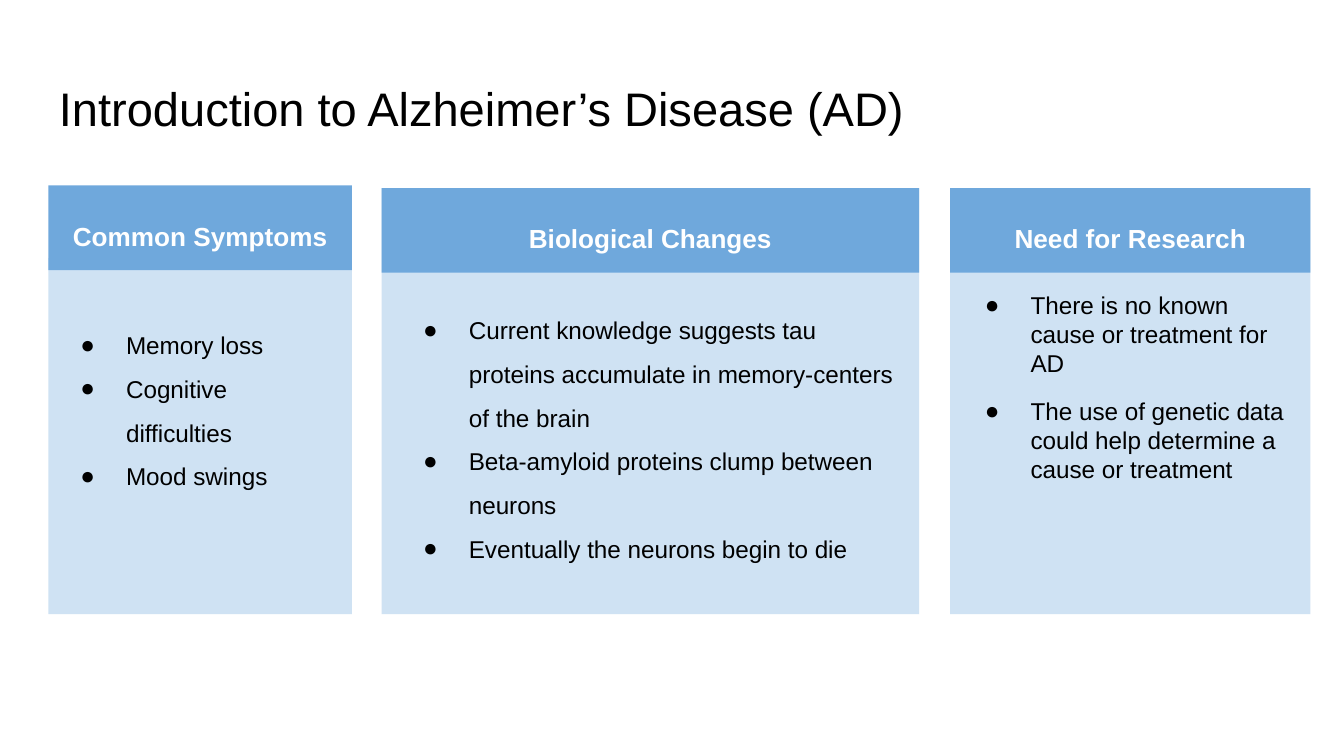
from dataclasses import dataclass

from lxml import etree
from pptx import Presentation
from pptx.dml.color import RGBColor
from pptx.enum.shapes import MSO_SHAPE
from pptx.enum.text import MSO_ANCHOR, PP_ALIGN
from pptx.oxml.ns import qn
from pptx.util import Inches, Pt

RECT = MSO_SHAPE.RECTANGLE
TOP, MIDDLE = MSO_ANCHOR.TOP, MSO_ANCHOR.MIDDLE
LEFT, CENTER, JUSTIFY = PP_ALIGN.LEFT, PP_ALIGN.CENTER, PP_ALIGN.JUSTIFY


@dataclass(frozen=True)
class Theme:
    font: str = "Arial"
    text: str = "000000"
    heading_text: str = "FFFFFF"
    heading_fill: str = "6FA8DC"
    panel_fill: str = "CFE2F3"
    title_size: float = 25.2
    heading_size: float = 14
    body_size: float = 13


@dataclass(frozen=True)
class Column:
    heading: str
    left: float
    top: float
    width: float
    panel: tuple
    list_box: tuple
    items: tuple
    align: PP_ALIGN = LEFT
    line_spacing: float = 1.5
    gap: float = 0


THEME = Theme()
HEADING_HEIGHT = 0.63
COLUMNS = (
    Column("Common Symptoms", 0.36, 1.38, 2.26, (1.92, 2.65),
           (0.34, 2.25, 2.13, 1.41),
           ("Memory loss", "Cognitive difficulties", "Mood swings"),
           align=JUSTIFY),
    Column("Biological Changes", 2.84, 1.4, 4, (1.4, 3.17),
           (2.89, 2.14, 3.91, 2.37),
           ("Current knowledge suggests tau proteins accumulate in "
            "memory-centers of the brain",
            "Beta-amyloid proteins clump between neurons",
            "Eventually the neurons begin to die")),
    Column("Need for Research", 7.07, 1.4, 2.68, (1.4, 3.17),
           (7.07, 2.06, 2.68, 2.27),
           ("There is no known cause or treatment for AD",
            "The use of genetic data could help determine a cause or treatment"),
           line_spacing=1, gap=10),
)


def inches(box):
    return [Inches(v) for v in box]


def prepare_frame(sp, anchor):
    tf = sp.text_frame
    tf.word_wrap = True
    tf.vertical_anchor = anchor
    tf.margin_left = tf.margin_right = Inches(0.1)
    tf.margin_top = tf.margin_bottom = Inches(0.1)
    return tf


def style_runs(p, size, color, bold=False):
    for r in p.runs:
        r.font.name = THEME.font
        r.font.size = Pt(size)
        r.font.bold = bold
        r.font.color.rgb = RGBColor.from_string(color)


def add_bullet(p):
    pPr = p._p.get_or_add_pPr()
    pPr.set("marL", str(Inches(0.5)))
    pPr.set("indent", str(Inches(-0.34)))
    color = etree.SubElement(pPr, qn("a:buClr"))
    etree.SubElement(color, qn("a:srgbClr"), val=THEME.text)
    etree.SubElement(pPr, qn("a:buSzPts"), val=str(THEME.body_size * 100))
    etree.SubElement(pPr, qn("a:buFont"), typeface=THEME.font)
    etree.SubElement(pPr, qn("a:buChar"), char="●")


def add_rect(s, box, fill):
    sp = s.shapes.add_shape(RECT, *inches(box))
    sp.shadow.inherit = False
    sp.fill.solid()
    sp.fill.fore_color.rgb = RGBColor.from_string(fill)
    sp.line.fill.background()
    return sp


def add_title(s, text, box):
    tf = prepare_frame(s.shapes.add_textbox(*inches(box)), MIDDLE)
    tf.text = text
    style_runs(tf.paragraphs[0], THEME.title_size, THEME.text)


def add_heading(s, text, box):
    tf = prepare_frame(add_rect(s, box, THEME.heading_fill), MIDDLE)
    tf.text = text
    p = tf.paragraphs[0]
    p.alignment = CENTER
    p.line_spacing = 1.5
    style_runs(p, THEME.heading_size, THEME.heading_text, bold=True)


def add_list(s, column):
    tf = prepare_frame(s.shapes.add_textbox(*inches(column.list_box)), TOP)
    for i, item in enumerate(column.items):
        p = tf.add_paragraph() if i else tf.paragraphs[0]
        p.text = item
        add_bullet(p)
        p.alignment = column.align
        p.line_spacing = column.line_spacing
        if i:
            p.space_before = Pt(column.gap)
        style_runs(p, THEME.body_size, THEME.text)


def add_column(s, column):
    panel_top, panel_height = column.panel
    add_rect(s, (column.left, panel_top, column.width, panel_height),
             THEME.panel_fill)
    add_heading(s, column.heading,
                (column.left, column.top, column.width, HEADING_HEIGHT))
    add_list(s, column)


def main():
    prs = Presentation()
    prs.slide_width = Inches(10)
    prs.slide_height = prs.slide_width * 9 // 16
    s = prs.slides.add_slide(prs.slide_layouts[6])
    add_title(s, "Introduction to Alzheimer’s Disease (AD)",
              (0.34, 0.49, 9.32, 0.63))
    for column in COLUMNS:
        add_column(s, column)
    prs.save("out.pptx")


if __name__ == "__main__":
    main()
